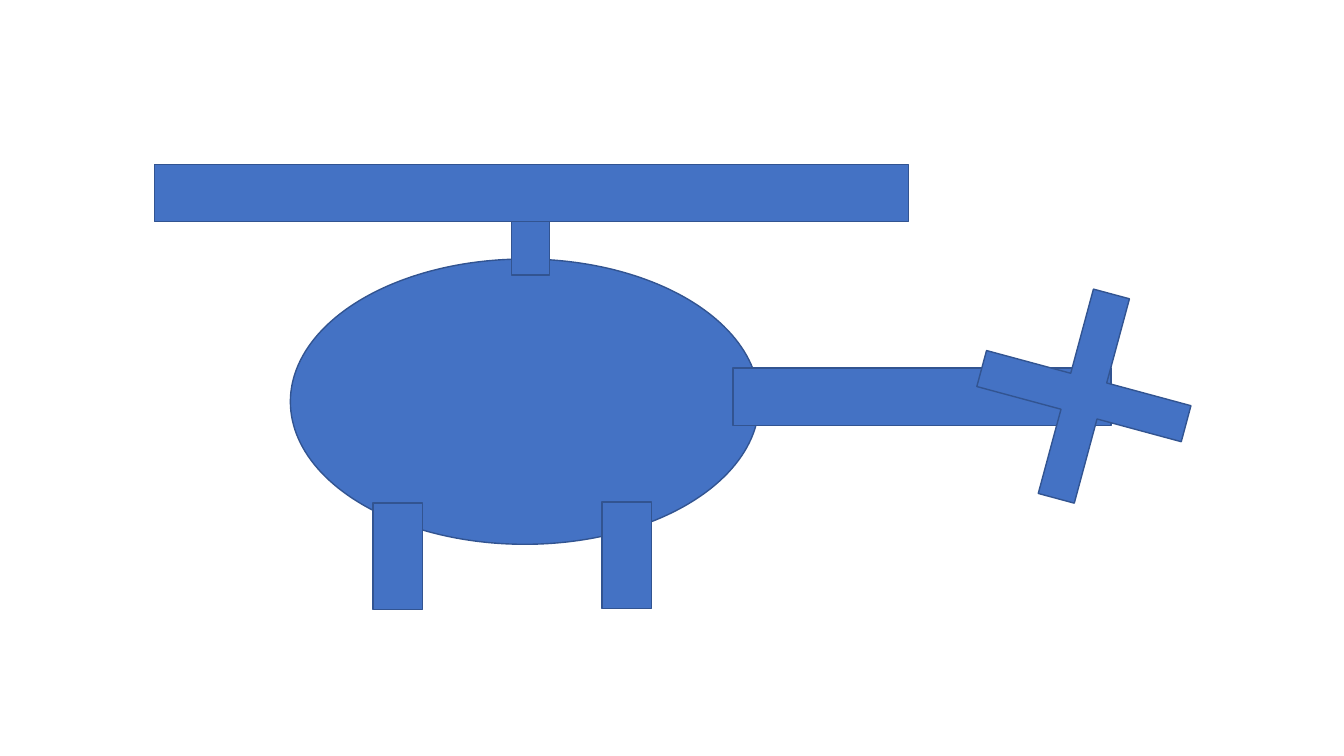
from pptx import Presentation
from pptx.dml.color import RGBColor
from pptx.enum.shapes import MSO_SHAPE
from pptx.util import Inches, Pt

ELLIPSE = MSO_SHAPE.OVAL
RECTANGLE = MSO_SHAPE.RECTANGLE
CROSS = MSO_SHAPE.CROSS

BLANK_LAYOUT = 6
FILL = "4472C4"
OUTLINE = "325491"


def color(hex_value):
    return RGBColor.from_string(hex_value)


def add_part(group, kind, left, top, width, height):
    """Add one filled and outlined part of the helicopter, in inches."""
    shape = group.shapes.add_shape(
        kind, Inches(left), Inches(top), Inches(width), Inches(height)
    )
    shape.shadow.inherit = False
    shape.fill.solid()
    shape.fill.fore_color.rgb = color(FILL)
    shape.line.color.rgb = color(OUTLINE)
    shape.line.width = Pt(1)
    return shape


def add_helicopter(slide):
    helicopter = slide.shapes.add_group_shape()

    # Body and tail boom
    add_part(helicopter, ELLIPSE, 2.88, 2.57, 4.65, 2.83)
    add_part(helicopter, RECTANGLE, 7.27, 3.65, 3.75, 0.57)

    # Landing legs
    for left, top in ((3.7, 4.99), (5.97, 4.98)):
        add_part(helicopter, RECTANGLE, left, top, 0.49, 1.06)

    # Mast
    add_part(helicopter, RECTANGLE, 5.07, 2, 0.38, 0.73)

    # Tail rotor
    tail_rotor = add_part(helicopter, CROSS, 9.7, 2.88, 2.1, 2.1)
    tail_rotor.adjustments[0] = 0.412
    tail_rotor.rotation = 15.1

    # Main rotor, in front of the mast
    add_part(helicopter, RECTANGLE, 1.53, 1.63, 7.48, 0.57)


def main():
    presentation = Presentation()
    presentation.slide_width = Inches(13.33)
    presentation.slide_height = Inches(7.5)
    slide = presentation.slides.add_slide(presentation.slide_layouts[BLANK_LAYOUT])
    add_helicopter(slide)
    presentation.save("out.pptx")


if __name__ == "__main__":
    main()
